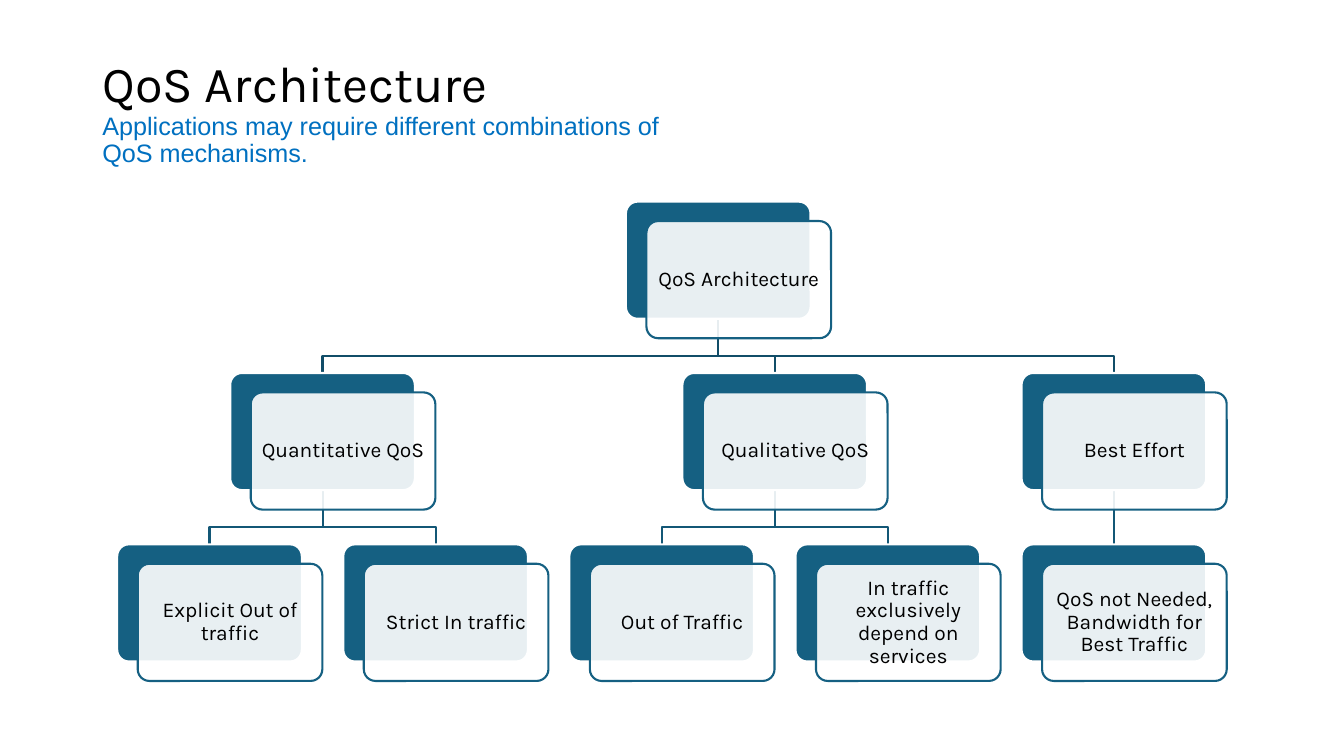
from pptx import Presentation
from pptx.dml.color import RGBColor
from pptx.enum.shapes import MSO_SHAPE as SHAPE
from pptx.enum.text import MSO_ANCHOR as ANCHOR, PP_ALIGN as ALIGN
from pptx.oxml.ns import qn
from pptx.util import Pt
from lxml import etree

# Tree of (label, children)
TREE = ("QoS Architecture", [
    ("Quantitative QoS", [
        ("Explicit Out of traffic", []),
        ("Strict In traffic", []),
    ]),
    ("Qualitative QoS", [
        ("Out of Traffic", []),
        ("In traffic exclusively depend on services", []),
    ]),
    ("Best Effort", [
        ("QoS not Needed, Bandwidth for Best Traffic", []),
    ]),
])

# Chart grid, in points
LEFT, TOP = 83.7, 144
COL_STEP, ROW_STEP = 161.5, 122.4
CARD_W, CARD_H = 131.9, 83.7
SHIFT_X, SHIFT_Y = 14.65, 13.9
BEND = 26.4

TEAL, WHITE, BLACK, BLUE = "156082", "FFFFFF", "000000", "0070C0"
LINK_COLORS = ["114D68", "135776"]


def rgb(value):
    return RGBColor.from_string(value)


def style_run(r, size, font, color):
    for name, value in {"size": Pt(size), "name": font}.items():
        setattr(r.font, name, value)
    r.font.color.rgb = rgb(color)


def style_frame(tf, **values):
    for name, value in {"word_wrap": True, "vertical_anchor": ANCHOR.MIDDLE, **values}.items():
        setattr(tf, name, value)


def set_line(sp, color):
    sp.shadow.inherit = False
    sp.line.color.rgb = rgb(color)
    sp.line.width = Pt(1.5)


def place(node, level=0, first_slot=0):
    """Centre each parent over its outer children; return placed node and next free slot."""
    label, children = node
    placed, slot = [], first_slot
    for child in children:
        child_node, slot = place(child, level + 1, slot)
        placed.append(child_node)
    col = (placed[0]["col"] + placed[-1]["col"]) / 2 if placed else first_slot
    item = {"label": label, "level": level, "col": col, "children": placed}
    return item, max(slot, first_slot + 1)


def walk(node):
    yield node
    for child in node["children"]:
        yield from walk(child)


def corner(node):
    return LEFT + node["col"] * COL_STEP, TOP + node["level"] * ROW_STEP


def add_title(s):
    box = s.shapes.add_textbox(Pt(66), Pt(28.75), Pt(828), Pt(104.4))
    style_frame(box.text_frame)
    p = box.text_frame.paragraphs[0]
    p.line_spacing = 0.9
    lines = [
        ("QoS Architecture", 36, "Karla", BLACK),
        ("Applications may require different combinations of", 18, "Arial", BLUE),
        ("QoS mechanisms.", 18, "Arial", BLUE),
    ]
    for i, (text, size, font, color) in enumerate(lines):
        if i:
            p.add_line_break()
        r = p.add_run()
        r.text = text
        style_run(r, size, font, color)


def add_link(s, parent, child):
    (px, py), (cx, cy) = corner(parent), corner(child)
    x1, x2, y1 = px + CARD_W / 2, cx + CARD_W / 2, py + CARD_H
    points = [(x1, y1 + BEND), (x2, y1 + BEND), (x2, cy)] if x1 != x2 else [(x2, cy)]
    path = s.shapes.build_freeform(Pt(x1), Pt(y1))
    path.add_line_segments([(Pt(x), Pt(y)) for x, y in points], close=False)
    sp = path.convert_to_shape()
    sp.fill.background()
    set_line(sp, LINK_COLORS[parent["level"]])


def add_panel(s, x, y, fill, line):
    sp = s.shapes.add_shape(SHAPE.ROUNDED_RECTANGLE, Pt(x), Pt(y), Pt(CARD_W), Pt(CARD_H))
    sp.adjustments[0] = 0.1
    sp.fill.solid()
    sp.fill.fore_color.rgb = rgb(fill)
    set_line(sp, line)
    return sp


def add_card(s, node):
    x, y = corner(node)
    add_panel(s, x, y, TEAL, WHITE)
    sp = add_panel(s, x + SHIFT_X, y + SHIFT_Y, WHITE, TEAL)
    # Slightly transparent front panel
    color = sp.fill._xPr.find(qn("a:solidFill"))[0]
    etree.SubElement(color, qn("a:alpha"), val="90000")
    tf = sp.text_frame
    margins = ("margin_left", "margin_top", "margin_right", "margin_bottom")
    style_frame(tf, **{name: Pt(4.5) for name in margins})
    p = tf.paragraphs[0]
    p.alignment, p.line_spacing = ALIGN.CENTER, 0.9
    r = p.add_run()
    r.text = node["label"]
    style_run(r, 15, "Karla", BLACK)


def main():
    prs = Presentation()
    prs.slide_width, prs.slide_height = Pt(960), Pt(540)
    s = prs.slides.add_slide(prs.slide_layouts[6])
    add_title(s)
    root, _ = place(TREE)
    # Links lie behind the cards
    for node in walk(root):
        for child in node["children"]:
            add_link(s, node, child)
    for node in walk(root):
        add_card(s, node)
    prs.save("out.pptx")


if __name__ == "__main__":
    main()
